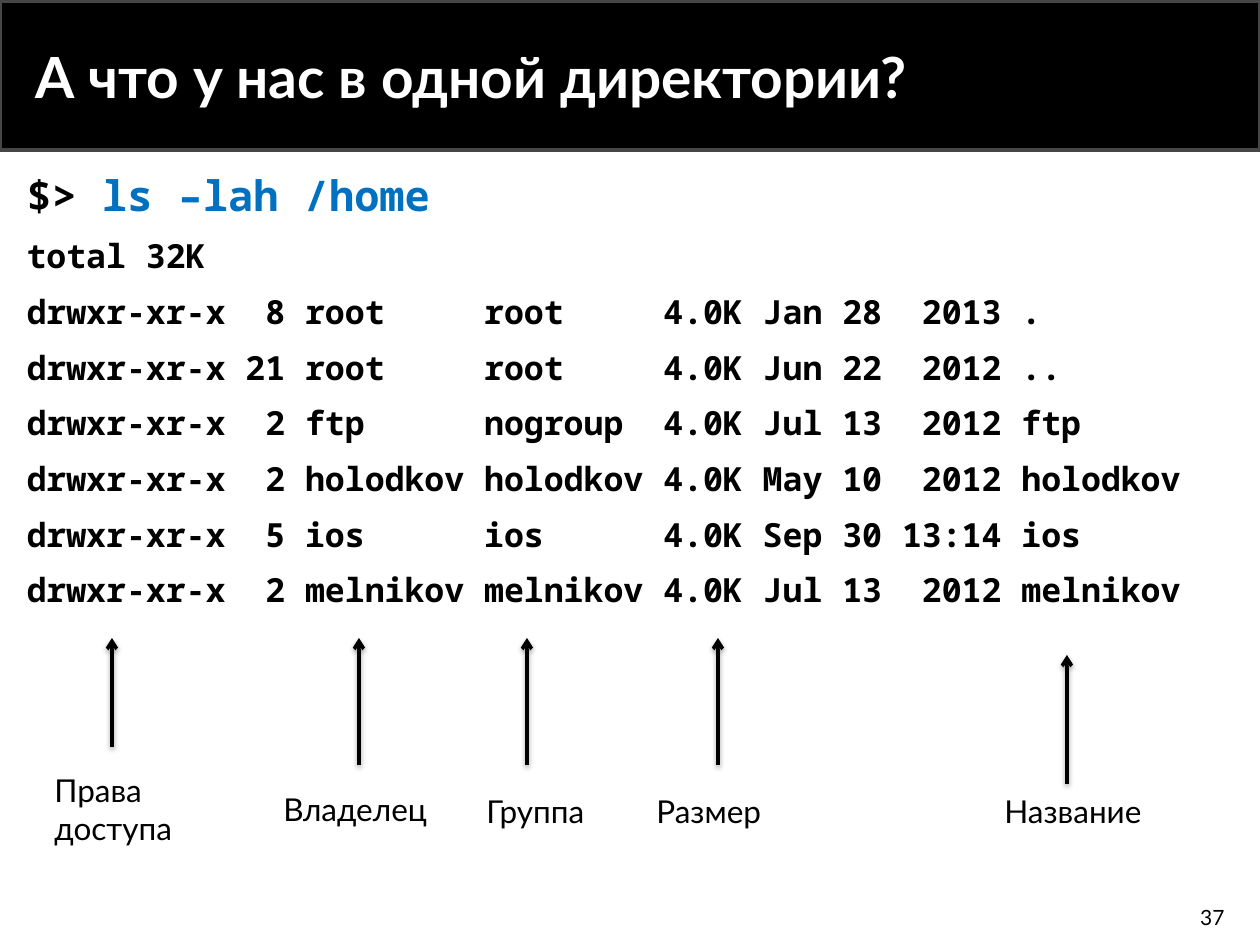
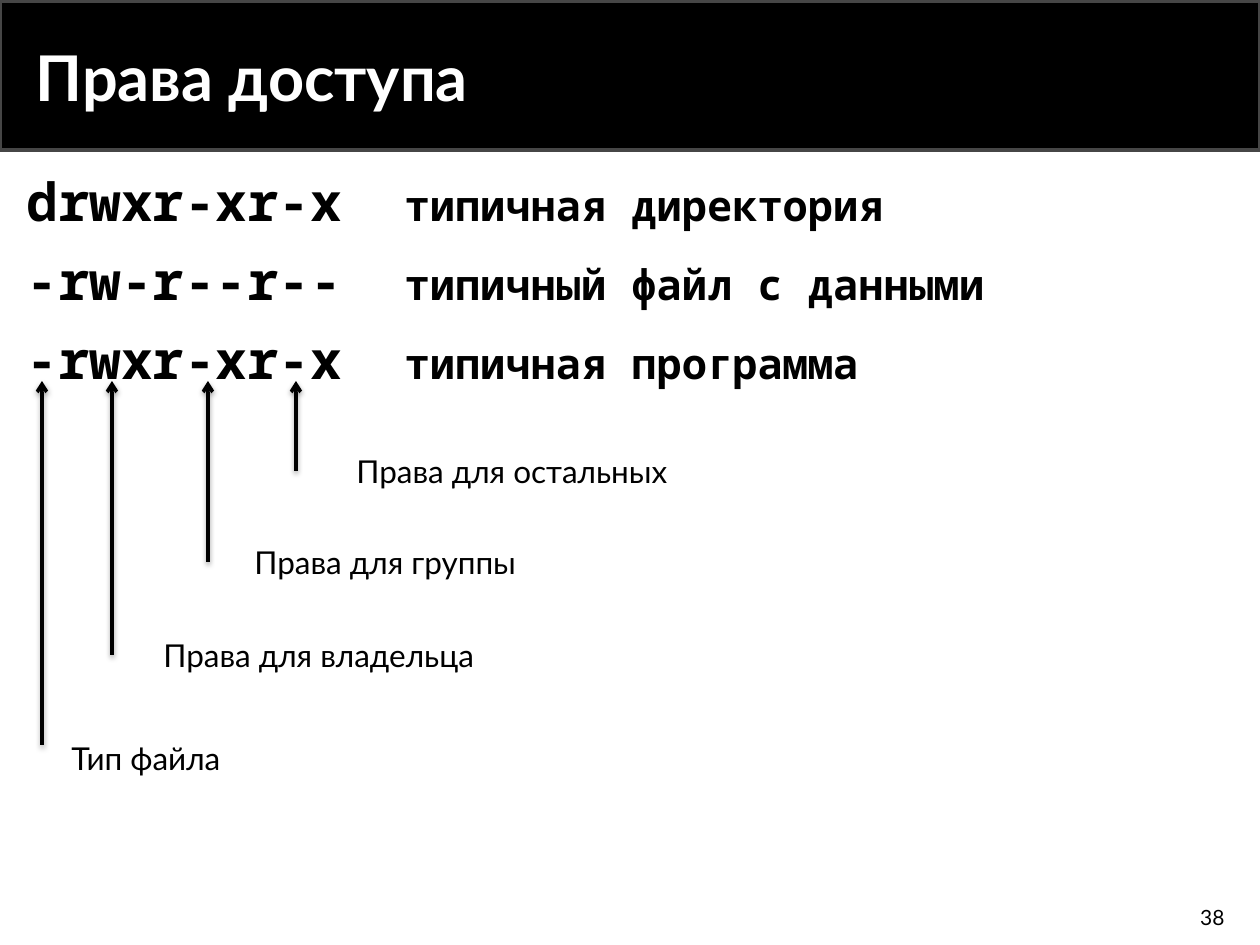
"""Build two slides on directory listings and access rights."""
from lxml import etree
from pptx import Presentation, util as u
from pptx.dml.color import RGBColor
from pptx.enum import shapes, text
from pptx.oxml import ns

BLACK = RGBColor(0, 0, 0)
WHITE = RGBColor(255, 255, 255)
GREY = RGBColor(0x46, 0x46, 0x46)
BLUE = RGBColor(0, 0x70, 0xC0)
SANS, MONO = "Lato", "Noto Sans Mono"
SCALE = 914400 // 126


def px(*nums):
    """Turn px lengths into EMU."""
    return [u.Emu(n * SCALE) for n in nums]


def node(root, tag, **attrs):
    """Add an XML child in the drawing namespace."""
    return etree.SubElement(root, ns.qn(tag), attrs)


class Deck:
    """Hold the style and the current slide."""

    def __init__(self):
        self.prs = Presentation()
        self.prs.slide_width, self.prs.slide_height = u.Inches(10), u.Inches(7.5)
        self.plan = self.prs.slide_layouts[1]
        self.slide = None

    def band(self):
        """Draw the title band and move it to the shared layout."""
        bar = self.slide.shapes.add_shape(
            shapes.MSO_SHAPE.RECTANGLE, *px(0, 1, 1260, 149))
        bar.shadow.inherit = False
        bar.fill.solid()
        bar.fill.fore_color.rgb = BLACK
        bar.line.color.rgb = GREY
        bar.line.width = u.Pt(2)
        self.plan.shapes._spTree.insert(2, bar._element)

    def page(self, title, size, num):
        """Start a slide with its title and number."""
        first = self.slide is None
        self.slide = self.prs.slides.add_slide(self.plan)
        if first:
            self.band()
        head = self.slide.shapes.title
        self.place(head, 23, 13, 1027, 126)
        frame = head.text_frame
        frame.vertical_anchor = text.MSO_ANCHOR.MIDDLE
        frame.paragraphs[0].alignment = text.PP_ALIGN.LEFT
        self.run(frame.paragraphs[0], title, size, WHITE, SANS, True)
        self.label(num, 950, 898, 287, 38, 12, text.PP_ALIGN.RIGHT)

    def place(self, shape, left, top, width, height):
        """Move a placeholder and fix its text fit."""
        shape.left, shape.top, shape.width, shape.height = px(
            left, top, width, height)
        shape.text_frame.auto_size = text.MSO_AUTO_SIZE.NONE
        shape.text_frame.word_wrap = True

    def run(self, para, words, size, color=BLACK, face=SANS, bold=False):
        """Add one run of text."""
        font_run = para.add_run()
        font_run.text = words
        font = font_run.font
        font.size, font.name, font.bold = u.Pt(size), face, bold
        font.color.rgb = color

    def body(self, lines, height, tab=None):
        """Fill the body with lines of (words, size, colour) runs."""
        box = self.slide.placeholders[1]
        self.place(box, 14, 163, 1231, height)
        frame = box.text_frame
        frame.vertical_anchor = text.MSO_ANCHOR.TOP
        for i, line in enumerate(lines):
            para = frame.add_paragraph() if i else frame.paragraphs[0]
            props = para._p.get_or_add_pPr()
            props.set("marL", "0")
            props.set("indent", "0")
            node(props, "a:buNone")
            if tab:
                stops = node(props, "a:tabLst")
                node(stops, "a:tab", pos=str(px(tab)[0]), algn="l")
            para.space_before = u.Pt(6 if i else 0)
            para.space_after = u.Pt(3)
            for words, size, color in line:
                self.run(para, words, size, color, MONO, True)

    def label(self, words, left, top, width, height=50, size=18,
              align=text.PP_ALIGN.LEFT):
        """Add a plain text label."""
        box = self.slide.shapes.add_textbox(*px(left, top, width, height))
        frame = box.text_frame
        frame.word_wrap = True
        if align == text.PP_ALIGN.RIGHT:
            frame.vertical_anchor = text.MSO_ANCHOR.MIDDLE
        frame.paragraphs[0].alignment = align
        self.run(frame.paragraphs[0], words, size)

    def arrow(self, x, low, high):
        """Draw an upward arrow with a soft shadow."""
        line = self.slide.shapes.add_connector(
            shapes.MSO_CONNECTOR.STRAIGHT, *px(x, low, x, high))
        line.line.color.rgb = BLACK
        line.line.width = u.Pt(2)
        node(line.line._get_or_add_ln(), "a:tailEnd", type="arrow")
        glow = node(node(line._element.spPr, "a:effectLst"), "a:outerShdw",
                    blurRad=str(u.Pt(3.1)), dist=str(u.Pt(1.6)),
                    dir="5400000", rotWithShape="0")
        node(node(glow, "a:srgbClr", val=str(BLACK)), "a:alpha", val="38000")


LISTING = """total 32K
drwxr-xr-x  8 root     root     4.0K Jan 28  2013 .
drwxr-xr-x 21 root     root     4.0K Jun 22  2012 ..
drwxr-xr-x  2 ftp      nogroup  4.0K Jul 13  2012 ftp
drwxr-xr-x  2 holodkov holodkov 4.0K May 10  2012 holodkov
drwxr-xr-x  5 ios      ios      4.0K Sep 30 13:14 ios
drwxr-xr-x  2 melnikov melnikov 4.0K Jul 13  2012 melnikov"""

FIELDS = [
    ("Права доступа", 42, 765, 183, 112, 747, 638),
    ("Владелец", 271, 784, 175, 359, 765, 638),
    ("Группа", 474, 786, 197, 527, 765, 638),
    ("Размер", 644, 786, 197, 718, 765, 638),
    ("Название", 992, 786, 197, 1067, 784, 655),
]

MODES = [
    ("drwxr-xr-x", "типичная директория"),
    ("-rw-r--r--", "типичный файл с данными"),
    ("-rwxr-xr-x", "типичная программа"),
]

RIGHTS = [
    ("Тип файла", 59, 733, 183, 42, 745),
    ("Права для владельца", 151, 630, 389, 112, 655),
    ("Права для группы", 242, 537, 323, 208, 562),
    ("Права для остальных", 344, 446, 360, 296, 471),
]


def main():
    """Build and save the slides."""
    deck = Deck()
    deck.page("А что у нас в одной директории?", 32.4, "37")
    prompt = [("$> ", 24, BLACK), ("ls –lah /home", 24, BLUE)]
    rows = [[(row, 19, BLACK)] for row in LISTING.splitlines()]
    deck.body([prompt] + rows, 475)
    for name, left, top, width, x, low, high in FIELDS:
        deck.label(name, left, top, width, 89 if " " in name else 50)
        deck.arrow(x, low, high)

    deck.page("Права доступа", 36, "38")
    deck.body([[(mode, 30, BLACK), ("\t" + use, 24, BLACK)]
               for mode, use in MODES], 237, 466)
    for name, left, top, width, x, low in RIGHTS:
        deck.label(name, left, top, width)
        deck.arrow(x, low, 381)
    deck.prs.save("out.pptx")


if __name__ == "__main__":
    main()
